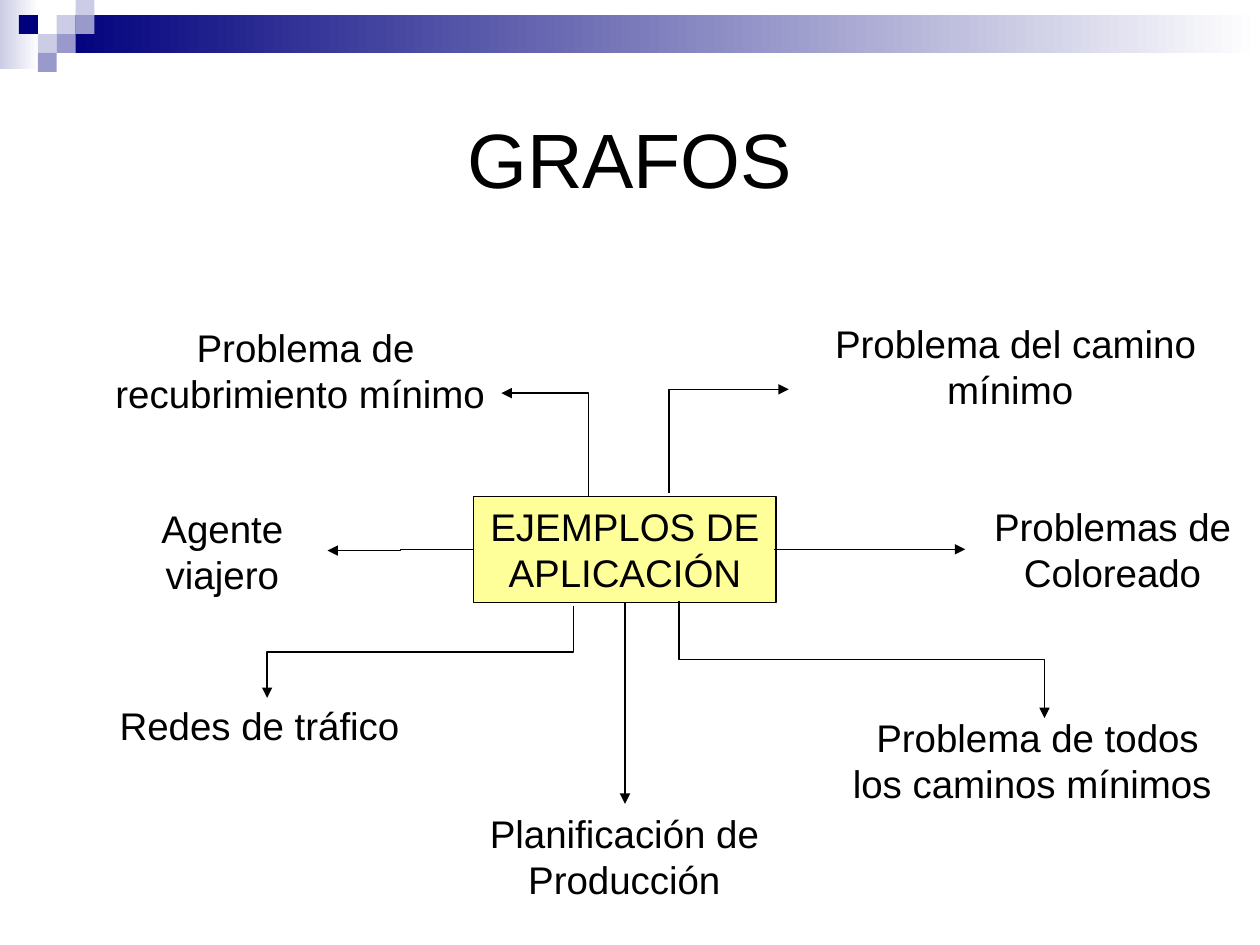
from dataclasses import dataclass

from lxml import etree
from pptx import Presentation
from pptx.dml.color import RGBColor
from pptx.enum.shapes import MSO_CONNECTOR, MSO_SHAPE
from pptx.enum.text import MSO_ANCHOR, PP_ALIGN
from pptx.oxml.ns import qn
from pptx.util import Inches, Pt

RECT = MSO_SHAPE.RECTANGLE
STRAIGHT, ELBOW = MSO_CONNECTOR.STRAIGHT, MSO_CONNECTOR.ELBOW
CENTER, MIDDLE = PP_ALIGN.CENTER, MSO_ANCHOR.MIDDLE


@dataclass(frozen=True)
class Theme:
    font: str = "Arial"
    ink: RGBColor = RGBColor(0x00, 0x00, 0x00)
    paper: RGBColor = RGBColor(0xFF, 0xFF, 0xFF)
    navy: RGBColor = RGBColor(0x00, 0x00, 0x7D)
    mid: RGBColor = RGBColor(0x99, 0x99, 0xCC)
    pale: RGBColor = RGBColor(0xCC, 0xCC, 0xE6)
    yellow: RGBColor = RGBColor(0xFF, 0xFF, 0x99)
    title: Pt = Pt(44)
    body: Pt = Pt(22)
    line: Pt = Pt(0.75)


THEME = Theme()

TOPICS = [
    ("Problema de recubrimiento mínimo ", (0.78, 2.52, 3.29, 0.83)),
    ("Problema del camino mínimo ", (6.12, 2.49, 3.88, 0.83)),
    ("Redes de tráfico", (0.59, 5.52, 2.94, 0.47)),
    ("Problema de todos los caminos mínimos ", (6.65, 5.62, 3.17, 0.83)),
    ("Agente viajero", (0.93, 3.96, 1.67, 0.83)),
    ("Problemas de Coloreado", (7.66, 3.94, 2.34, 0.83)),
    ("Planificación de Producción", (3.5, 6.38, 2.91, 0.83)),
]
DIRECT_ARROWS = [
    (ELBOW, (3.76, 4.36), (2.6, 4.37)),
    (ELBOW, (6.14, 4.36), (7.66, 4.36)),
    (STRAIGHT, (4.96, 4.78), (4.96, 6.38)),
]
TURNED_ARROWS = [
    ("bentConnector2", (4.67, 3.94), (3.98, 3.12)),
    ("bentConnector2", (5.31, 3.91), (6.26, 3.09)),
    ("bentConnector3", (4.55, 4.81), (2.12, 5.54)),
    ("bentConnector3", (5.39, 4.77), (8.29, 5.7)),
]


def inches(values):
    return [Inches(v) for v in values]


def write(tf, text, size):
    tf.word_wrap = True
    p = tf.paragraphs[0]
    p.text = text
    p.alignment = CENTER
    p.font.name, p.font.size = THEME.font, size
    p.font.color.rgb = THEME.ink


def add_rect(s, box, color, fade=False):
    sp = s.shapes.add_shape(RECT, *inches(box))
    sp.shadow.inherit = False
    sp.line.fill.background()
    if fade:
        sp.fill.gradient()
        sp.fill.gradient_angle = 0
        for stop, rgb, position in zip(sp.fill.gradient_stops, (color, THEME.paper), (0, 1)):
            stop.color.rgb, stop.position = rgb, position
    else:
        sp.fill.solid()
        sp.fill.fore_color.rgb = color
    return sp


def add_banner(s, box):
    left, top, width, height = box
    add_rect(s, (left, top, 0.31, height), THEME.pale, fade=True)
    add_rect(s, (left + 0.45, top + 0.15, width - 0.45, 0.3), THEME.navy, fade=True)
    side = 0.15
    squares = [
        (2, 1, THEME.pale), (3, 0, THEME.pale), (3, 1, THEME.mid),
        (1, 2, THEME.pale), (0, 1, THEME.navy), (2, 2, THEME.mid),
        (1, 3, THEME.mid),
    ]
    for col, row, color in squares:
        add_rect(s, (left + side * (col + 1), top + side * row, side, side), color)


def add_title(s, box, text):
    title = s.shapes.title
    title.left, title.top, title.width, title.height = inches(box)
    title.text_frame.vertical_anchor = MIDDLE
    write(title.text_frame, text, THEME.title)


def add_hub(s, box, text):
    sp = add_rect(s, box, THEME.yellow)
    sp.line.color.rgb, sp.line.width = THEME.ink, THEME.line
    sp.text_frame.vertical_anchor = MIDDLE
    write(sp.text_frame, text, THEME.body)


def add_topic(s, box, text):
    write(s.shapes.add_textbox(*inches(box)).text_frame, text, THEME.body)


def add_arrow(s, kind, start, end):
    c = s.shapes.add_connector(kind, *inches(start + end))
    c.line.color.rgb, c.line.width = THEME.ink, THEME.line
    etree.SubElement(c.line._get_or_add_ln(), qn("a:tailEnd"), type="triangle")
    etree.SubElement(c._element.spPr, qn("a:effectLst"))
    return c


def add_turned_arrow(s, preset, start, end):
    (x1, y1), (x2, y2) = start, end
    cx, cy = (x1 + x2) / 2, (y1 + y2) / 2
    half_w, half_h = abs(y2 - y1) / 2, abs(x2 - x1) / 2
    c = add_arrow(s, ELBOW, (cx - half_w, cy - half_h), (cx + half_w, cy + half_h))
    leftward, upward = x2 < x1, y2 < y1
    spPr = c._element.spPr
    spPr.find(qn("a:prstGeom")).set("prst", preset)
    xfrm = spPr.find(qn("a:xfrm"))
    xfrm.set("rot", str((90 if leftward else 270) * 60000))
    if leftward == upward:
        xfrm.set("flipH", "1")


def main():
    prs = Presentation()
    prs.slide_width, prs.slide_height = Inches(10), Inches(7.5)
    s = prs.slides.add_slide(prs.slide_layouts[5])
    add_banner(s, (0, -0.03, 10, 0.58))
    add_title(s, (0.5, 0.5, 9, 1.5), "GRAFOS")
    add_hub(s, (3.76, 3.94, 2.4, 0.84), "EJEMPLOS DE APLICACIÓN")
    for text, box in TOPICS:
        add_topic(s, box, text)
    for kind, start, end in DIRECT_ARROWS:
        add_arrow(s, kind, start, end)
    for preset, start, end in TURNED_ARROWS:
        add_turned_arrow(s, preset, start, end)
    prs.save("out.pptx")


if __name__ == "__main__":
    main()
